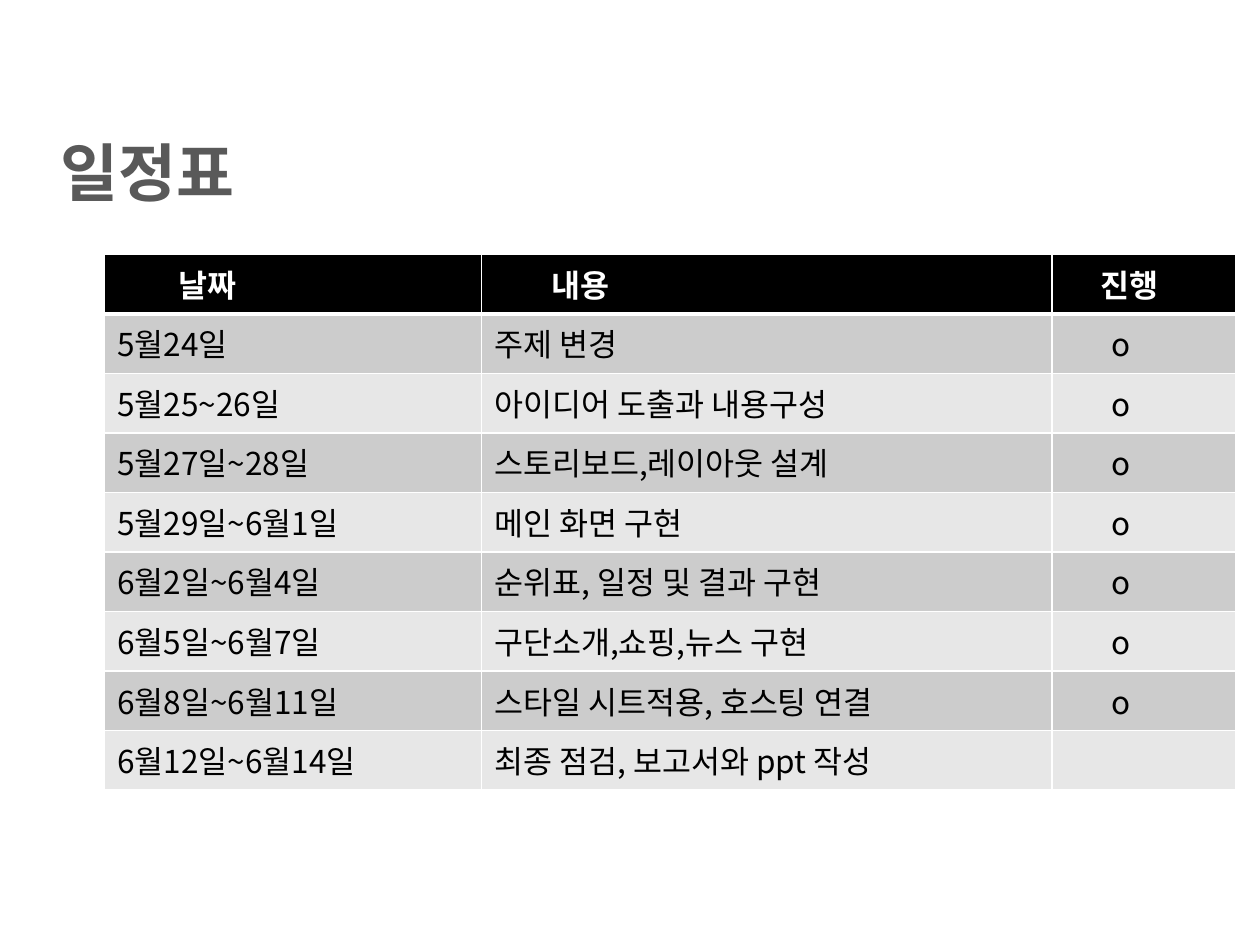
from lxml.etree import SubElement
from pptx import Presentation
from pptx.dml.color import RGBColor
from pptx.enum.text import MSO_ANCHOR
from pptx.oxml.ns import qn
from pptx.util import Cm, Pt

FONT = "Noto Sans CJK KR"
COLORS = {
    "title": "595959",
    "header": "000000",
    "header_text": "FFFFFF",
    "body_text": "000000",
    "odd_row": "CCCCCC",
    "even_row": "E7E7E7",
    "border": "FFFFFF",
}
TITLE_FORMAT = {"name": FONT, "size": Pt(36), "bold": True}
HEADER_FORMAT = {"name": FONT, "size": Pt(18), "bold": True}
BODY_FORMAT = {"name": FONT, "size": Pt(18), "bold": False}

COLUMN_WIDTHS = [7.6, 11.5, 3.7]
HEADER_INDENTS = [1.24, 1.15, 0.72]
BODY_INDENTS = [0, 0, 0.95]
SCHEDULE = [
    ("날짜", "내용", "진행"),
    ("5월24일", "주제 변경", "o"),
    ("5월25~26일", "아이디어 도출과 내용구성", "o"),
    ("5월27일~28일", "스토리보드,레이아웃 설계", "o"),
    ("5월29일~6월1일", "메인 화면 구현", "o"),
    ("6월2일~6월4일", "순위표, 일정 및 결과 구현", "o"),
    ("6월5일~6월7일", "구단소개,쇼핑,뉴스 구현", "o"),
    ("6월8일~6월11일", "스타일 시트적용, 호스팅 연결", "o"),
    ("6월12일~6월14일", "최종 점검, 보고서와 ppt 작성", ""),
]


def write_text(paragraph, text, text_format, color, indent):
    paragraph._p.get_or_add_pPr().set("marL", str(Cm(indent)))
    run = paragraph.add_run()
    run.text = text
    for name, value in text_format.items():
        setattr(run.font, name, value)
    run.font.color.rgb = RGBColor.from_string(COLORS[color])
    east_asian = SubElement(run._r.get_or_add_rPr(), qn("a:ea"))
    east_asian.set("typeface", FONT)


def set_borders(cell, widths):
    properties = cell._tc.get_or_add_tcPr()
    for side, width in widths.items():
        line = SubElement(properties, qn(f"a:ln{side}"), w=str(Pt(width)))
        fill = SubElement(line, qn("a:solidFill"))
        SubElement(fill, qn("a:srgbClr"), val=COLORS["border"])


def add_title(slide, left, top, width, height):
    shape = slide.shapes.add_textbox(Cm(left), Cm(top), Cm(width), Cm(height))
    frame = shape.text_frame
    frame.word_wrap = True
    frame.vertical_anchor = MSO_ANCHOR.BOTTOM
    frame.margin_bottom = Cm(0.06)
    write_text(frame.paragraphs[0], "일정표", TITLE_FORMAT, "title", 1.08)


def add_schedule(slide, left, top, width, height):
    shape = slide.shapes.add_table(
        len(SCHEDULE), len(COLUMN_WIDTHS), Cm(left), Cm(top), Cm(width), Cm(height)
    )
    table = shape.table
    for column, column_width in zip(table.columns, COLUMN_WIDTHS):
        column.width = Cm(column_width)
    for row_index, texts in enumerate(SCHEDULE):
        table.rows[row_index].height = Cm(height / len(SCHEDULE))
        is_header = row_index == 0
        if is_header:
            fill, color = "header", "header_text"
            text_format, indents = HEADER_FORMAT, HEADER_INDENTS
        else:
            fill, color = "odd_row" if row_index % 2 else "even_row", "body_text"
            text_format, indents = BODY_FORMAT, BODY_INDENTS
        borders = {"L": 1, "R": 1, "T": 3 if row_index == 1 else 1, "B": 3 if is_header else 1}
        for column_index, text in enumerate(texts):
            cell = table.cell(row_index, column_index)
            set_borders(cell, borders)
            cell.fill.solid()
            cell.fill.fore_color.rgb = RGBColor.from_string(COLORS[fill])
            if text:
                paragraph = cell.text_frame.paragraphs[0]
                write_text(paragraph, text, text_format, color, indents[column_index])


def main():
    presentation = Presentation()
    presentation.slide_width = Cm(25.4)
    presentation.slide_height = Cm(19.05)
    slide = presentation.slides.add_slide(presentation.slide_layouts[6])
    add_title(slide, -0.1, 0.94, 12.4, 3.33)
    add_schedule(slide, 2.11, 5.13, sum(COLUMN_WIDTHS), 10.8)
    presentation.save("out.pptx")


if __name__ == "__main__":
    main()
